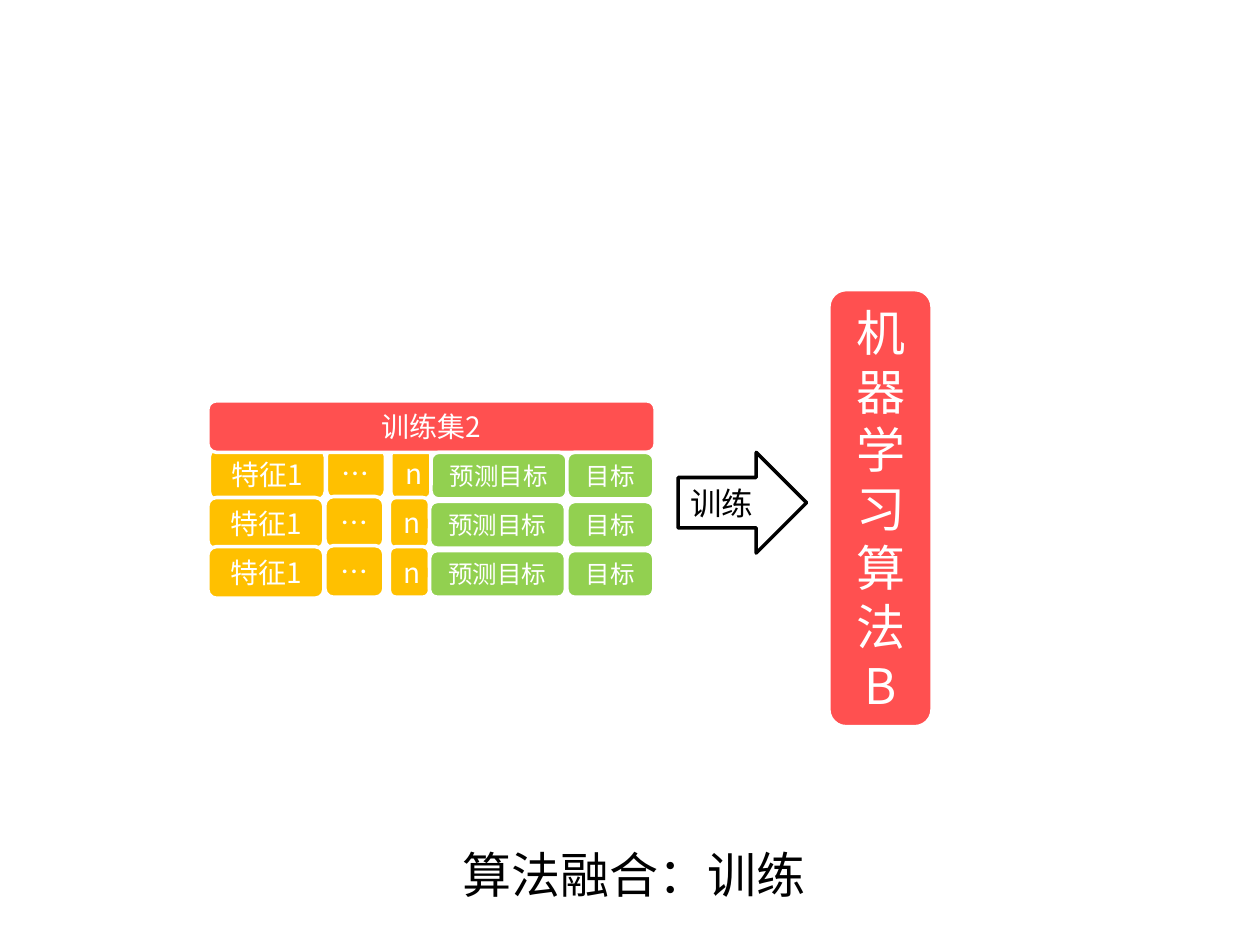
from lxml import etree
from pptx import Presentation
from pptx import util as u
from pptx.dml.color import RGBColor
from pptx.enum import shapes, text
from pptx.oxml.ns import qn

SANS = "Noto Sans CJK SC"
WHITE, BLACK = "FFFFFF", "000000"
RED, GOLD, GREEN = "FF5050", "FFC000", "92D050"
ROUND = shapes.MSO_SHAPE.ROUNDED_RECTANGLE
ARROW = shapes.MSO_SHAPE.RIGHT_ARROW
MID, LEFT = text.PP_ALIGN.CENTER, text.PP_ALIGN.LEFT

ROWS, STEP, NUDGE = 3, 0.99, 0.03
GOLDS = [
    ("特征1", 4.19, 9.04, 2.34, 1.04),
    ("…", 6.55, 9.02, 1.19, 1.04),
    ("n", 7.85, 9.04, 0.81, 1.02),
]
GREENS = [
    ("预测目标", 8.66, 9.12, 2.74, 0.94),
    ("目标", 11.43, 9.12, 1.75, 0.94),
]


def color(code):
    return RGBColor.from_string(code)


def write(frame, lines, size, ink, font=SANS, align=MID):
    frame.auto_size = text.MSO_AUTO_SIZE.SHAPE_TO_FIT_TEXT
    for i, line in enumerate(lines):
        para = frame.add_paragraph() if i else frame.paragraphs[0]
        para.alignment = align
        run = para.add_run()
        run.text = line
        run.font.size = u.Pt(size)
        run.font.color.rgb = color(ink)
        run.font.name = font
        east = etree.SubElement(run.font._element, qn("a:ea"))
        east.set("typeface", SANS)


def block(slide, kind, box, fill, line):
    shape = slide.shapes.add_shape(kind, *map(u.Cm, box))
    shape.shadow.inherit = False
    shape.fill.solid()
    shape.fill.fore_color.rgb = color(fill)
    shape.line.color.rgb = color(line)
    shape.line.width = u.Pt(2)
    frame = shape.text_frame
    frame.word_wrap = True
    frame.vertical_anchor = text.MSO_ANCHOR.MIDDLE
    return frame


def card(slide, box, fill, lines, size):
    write(block(slide, ROUND, box, fill, WHITE), lines, size, WHITE)


def grid(slide, cols, fill, size):
    for row in range(ROWS):
        for name, x, y, w, h in cols:
            shift = NUDGE if row == 0 and name != "目标" else 0
            card(slide, (x + shift, y + row * STEP, w, h), fill, [name], size)


def title(slide, box, line):
    frame = slide.shapes.add_textbox(*map(u.Cm, box)).text_frame
    frame.word_wrap = False
    write(frame, [line], 28, BLACK)


def arrow(slide, box, line):
    frame = block(slide, ARROW, box, WHITE, BLACK)
    write(frame, [line], 18, BLACK, "Arial", LEFT)


def main():
    deck = Presentation()
    deck.slide_width, deck.slide_height = u.Cm(25.4), u.Cm(19.05)
    slide = deck.slides.add_slide(deck.slide_layouts[6])
    title(slide, (9.04, 16.89, 7.49, 1.45), "算法融合：训练")
    card(slide, (16.71, 5.84, 2.08, 8.81), RED, ["机器学习算法", "B"], 28)
    grid(slide, GOLDS, GOLD, 16)
    card(slide, (4.19, 8.08, 9.02, 1.04), RED, ["训练集2"], 16)
    grid(slide, GREENS, GREEN, 14)
    arrow(slide, (13.67, 9.12, 2.59, 2.03), "训练")
    deck.save("out.pptx")


if __name__ == "__main__":
    main()
